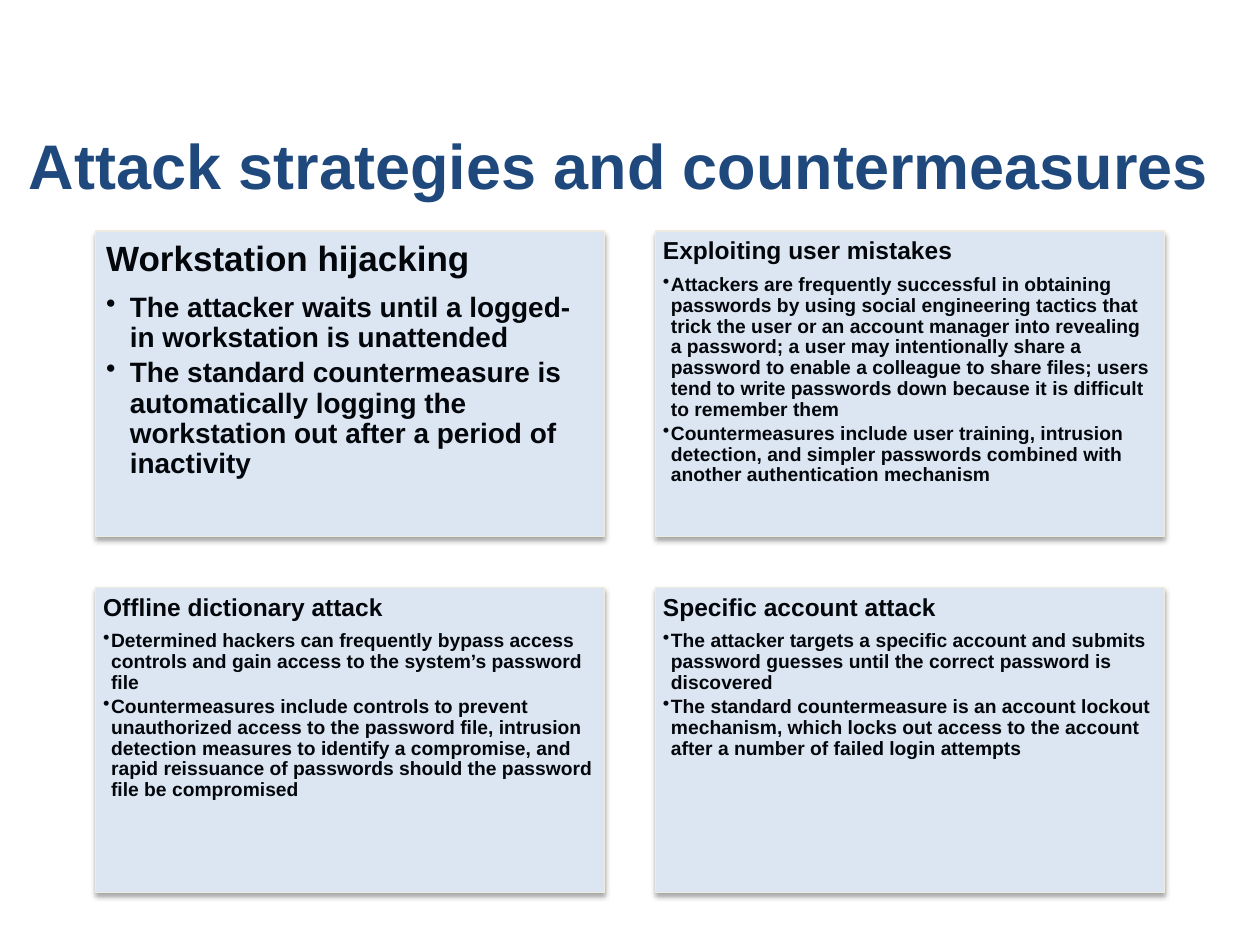
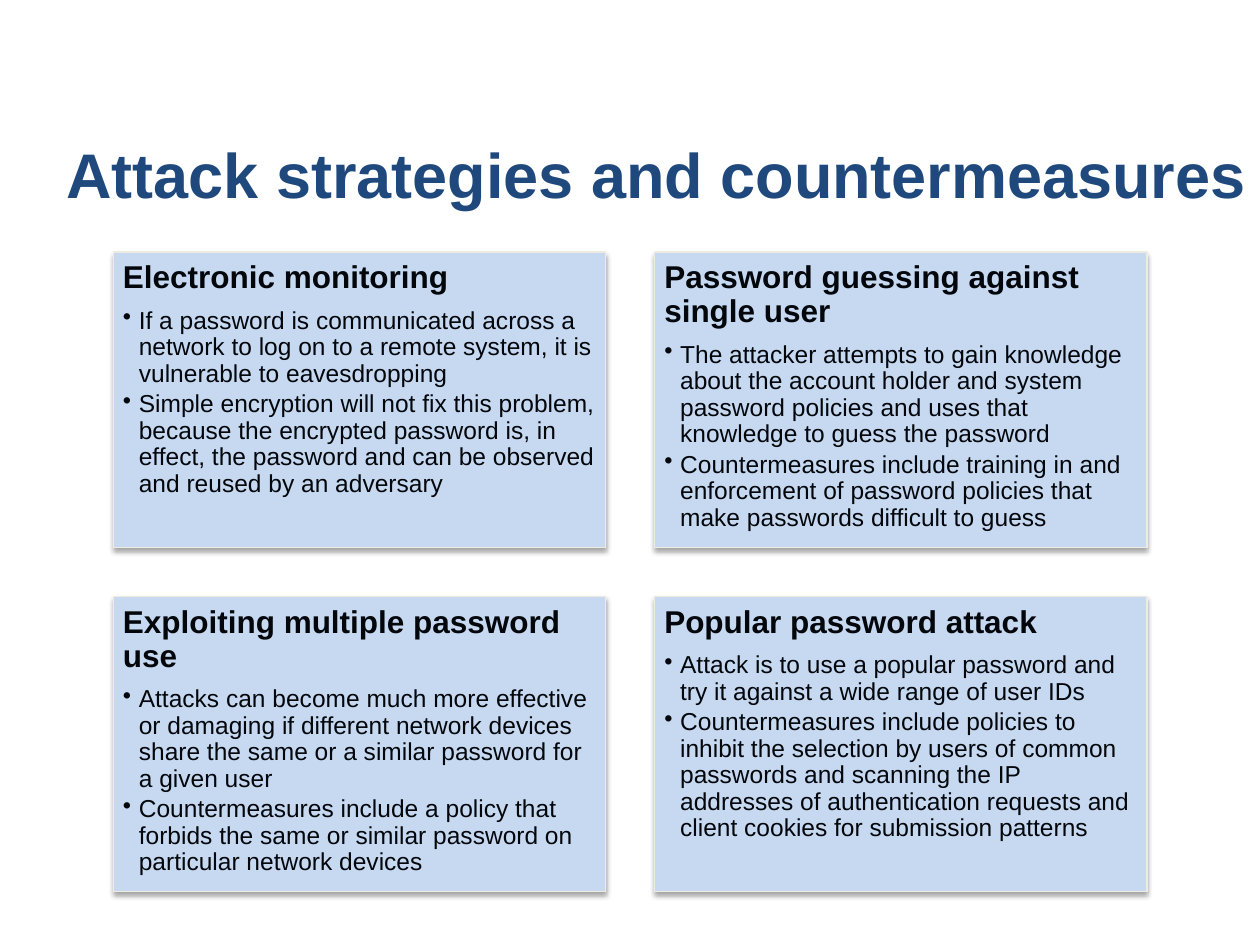
from dataclasses import dataclass

from lxml import etree
from pptx import Presentation
from pptx.dml.color import RGBColor
from pptx.enum.shapes import MSO_SHAPE
from pptx.enum.text import MSO_ANCHOR, PP_ALIGN
from pptx.oxml.ns import qn
from pptx.util import Cm, Pt

RECTANGLE = MSO_SHAPE.RECTANGLE
TOP, BOTTOM = MSO_ANCHOR.TOP, MSO_ANCHOR.BOTTOM
LEFT = PP_ALIGN.LEFT

FONT = "Arial"
TITLE = "Attack strategies and countermeasures"
TITLE_COLOUR = "1F497D"
TEXT_COLOUR = "03070C"
BORDER_COLOUR = "EEECE1"
SHADOW_COLOUR = "000000"
COLUMNS = 2
HEIGHT_SHARE = 0.6
GAP_SHARE = 0.1
LINE_HEIGHT = 1.15


@dataclass
class CardStyle:
    """Text sizes in points, inset and bullet indent in centimetres."""
    heading: int
    body: int
    inset: float
    indent: float
    body_bold: bool


LARGE = CardStyle(20, 16, 0.21, 0.48, True)
SMALL = CardStyle(14, 11, 0.15, 0.16, True)
MEDIUM = CardStyle(18, 14, 0.19, 0.32, False)

FIRST_CARDS = [
    (LARGE, "Workstation hijacking", [
        "The attacker waits until a logged-in workstation is unattended",
        "The standard countermeasure is automatically logging the workstation "
        "out after a period of inactivity"]),
    (SMALL, "Exploiting user mistakes", [
        "Attackers are frequently successful in obtaining passwords by using "
        "social engineering tactics that trick the user or an account manager "
        "into revealing a password; a user may intentionally share a password "
        "to enable a colleague to share files; users tend to write passwords "
        "down because it is difficult to remember them",
        "Countermeasures include user training, intrusion detection, and "
        "simpler passwords combined with another authentication mechanism"]),
    (SMALL, "Offline dictionary attack", [
        "Determined hackers can frequently bypass access controls and gain "
        "access to the system’s password file",
        "Countermeasures include controls to prevent unauthorized access to "
        "the password file, intrusion detection measures to identify a "
        "compromise, and rapid reissuance of passwords should the password "
        "file be compromised"]),
    (SMALL, "Specific account attack", [
        "The attacker targets a specific account and submits password guesses "
        "until the correct password is discovered",
        "The standard countermeasure is an account lockout mechanism, which "
        "locks out access to the account after a number of failed login "
        "attempts"]),
]

SECOND_CARDS = [
    (MEDIUM, "Electronic monitoring", [
        "If a password is communicated across a network to log on to a remote "
        "system, it is vulnerable to eavesdropping",
        "Simple encryption will not fix this problem, because the encrypted "
        "password is, in effect, the password and can be observed and reused "
        "by an adversary"]),
    (MEDIUM, "Password guessing against single user", [
        "The attacker attempts to gain knowledge about the account holder and "
        "system password policies and uses that knowledge to guess the "
        "password",
        "Countermeasures include training in and enforcement of password "
        "policies that make passwords difficult to guess"]),
    (MEDIUM, "Exploiting multiple password use", [
        "Attacks can become much more effective or damaging if different "
        "network devices share the same or a similar password for a given "
        "user",
        "Countermeasures include a policy that forbids the same or similar "
        "password on particular network devices"]),
    (MEDIUM, "Popular password attack", [
        "Attack is to use a popular password and try it against a wide range "
        "of user IDs",
        "Countermeasures include policies to inhibit the selection by users "
        "of common passwords and scanning the IP addresses of authentication "
        "requests and client cookies for submission patterns"]),
]


def colour(hex_value):
    """Turn a hex string into a colour."""
    return RGBColor.from_string(hex_value)


def set_font(paragraph, size, bold, hex_value):
    """Set the font of a whole paragraph."""
    font = paragraph.font
    font.name, font.size, font.bold = FONT, Pt(size), bold
    font.color.rgb = colour(hex_value)


def add_title(page, left, top, width, height):
    """Add the shared title, resting on the bottom of its box."""
    frame = page.shapes.add_textbox(
        Cm(left), Cm(top), Cm(width), Cm(height)).text_frame
    frame.word_wrap = True
    frame.vertical_anchor = BOTTOM
    paragraph = frame.paragraphs[0]
    paragraph.text = TITLE
    set_font(paragraph, 36, True, TITLE_COLOUR)


def add_shadow(shape):
    """Give a shape a soft shadow straight below it."""
    shape.shadow.inherit = False
    effects = shape._element.spPr.find(qn("a:effectLst"))
    shadow = etree.SubElement(
        effects, qn("a:outerShdw"), blurRad=str(Pt(3.1)), dist=str(Pt(1.8)),
        dir="5400000", rotWithShape="0")
    tint = etree.SubElement(shadow, qn("a:srgbClr"), val=SHADOW_COLOUR)
    etree.SubElement(tint, qn("a:alpha"), val="35000")


def add_bullet(paragraph, indent):
    """Make a paragraph a bullet with a hanging indent in centimetres."""
    paragraph.level = 1
    properties = paragraph._p.get_or_add_pPr()
    properties.set("marL", str(Cm(indent)))
    properties.set("indent", str(-Cm(indent)))
    etree.SubElement(properties, qn("a:buChar"), char="•")


def format_line(paragraph, size, bold, space_share):
    """Set font and spacing, with the space below as a share of a line."""
    paragraph.alignment = LEFT
    paragraph.line_spacing = 0.9
    paragraph.space_after = Pt(round(size * LINE_HEIGHT * space_share, 1))
    set_font(paragraph, size, bold, TEXT_COLOUR)


def add_card(page, left, top, width, fill, card):
    """Add a shaded card with a heading and bullets."""
    style, heading, bullets = card
    box = page.shapes.add_shape(
        RECTANGLE, Cm(left), Cm(top), Cm(width), Cm(width * HEIGHT_SHARE))
    box.fill.solid()
    box.fill.fore_color.rgb = colour(fill)
    box.line.color.rgb = colour(BORDER_COLOUR)
    box.line.width = Pt(0.75)
    add_shadow(box)

    frame = box.text_frame
    frame.word_wrap = True
    frame.vertical_anchor = TOP
    frame.margin_left = frame.margin_right = Cm(style.inset)
    frame.margin_top = frame.margin_bottom = Cm(style.inset)
    paragraph = frame.paragraphs[0]
    paragraph.text = heading
    format_line(paragraph, style.heading, True, 0.35)
    for bullet in bullets:
        paragraph = frame.add_paragraph()
        paragraph.text = bullet
        add_bullet(paragraph, style.indent)
        format_line(paragraph, style.body, style.body_bold, 0.15)


def add_card_grid(page, left, top, width, fill, cards):
    """Lay the cards out in rows with equal gaps."""
    gap = width * GAP_SHARE
    for index, card in enumerate(cards):
        row, column = divmod(index, COLUMNS)
        add_card(page, left + column * (width + gap),
                 top + row * (width * HEIGHT_SHARE + gap), width, fill, card)


def main():
    """Build the two slides and save the deck."""
    deck = Presentation()
    deck.slide_width, deck.slide_height = Cm(25.4), Cm(19.05)
    blank = deck.slide_layouts[6]

    page = deck.slides.add_slide(blank)
    add_title(page, 0.33, 1.78, 24.56, 2.41)
    add_card_grid(page, 1.93, 4.66, 10.26, "DCE6F2", FIRST_CARDS)

    page = deck.slides.add_slide(blank)
    add_title(page, 1.09, 2.54, 24.31, 1.85)
    add_card_grid(page, 2.29, 5.08, 9.92, "C6D9F1", SECOND_CARDS)

    deck.save("out.pptx")


if __name__ == "__main__":
    main()
